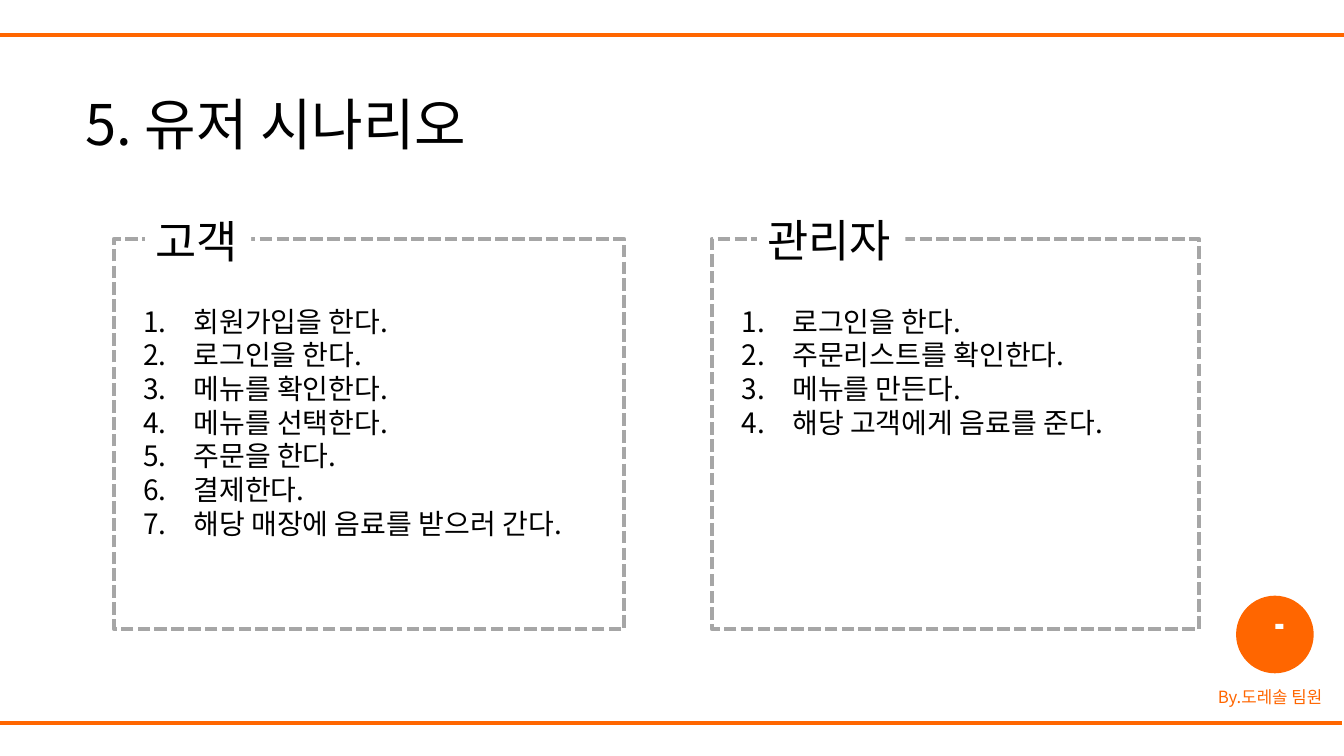
from dataclasses import dataclass

from lxml import etree
from pptx import Presentation
from pptx.dml.color import RGBColor
from pptx.enum.dml import MSO_LINE
from pptx.enum.shapes import MSO_CONNECTOR, MSO_SHAPE
from pptx.enum.text import MSO_ANCHOR, PP_ALIGN
from pptx.oxml.ns import qn
from pptx.util import Inches, Pt

RECT, OVAL = MSO_SHAPE.RECTANGLE, MSO_SHAPE.OVAL
STRAIGHT = MSO_CONNECTOR.STRAIGHT
DASH = MSO_LINE.SQUARE_DOT
LEFT = PP_ALIGN.LEFT
TOP = MSO_ANCHOR.TOP


@dataclass(frozen=True)
class Theme:
    font: str = "Noto Sans CJK KR"
    orange: RGBColor = RGBColor(0xFF, 0x66, 0x00)
    gray: RGBColor = RGBColor(0xA6, 0xA6, 0xA6)
    black: RGBColor = RGBColor(0, 0, 0)
    white: RGBColor = RGBColor(0xFF, 0xFF, 0xFF)
    title: int = 40
    heading: int = 32
    body: int = 20
    credit: int = 12
    stroke: int = 3


THEME = Theme()

# Heading, panel left and width, heading box (left, top, width), list left and height, steps
PANELS = [
    ("고객", 1.13, 5.06, (1.44, 2.07, 1.05), 1.32, 2.46,
     ["회원가입을 한다.", "로그인을 한다.", "메뉴를 확인한다.", "메뉴를 선택한다.",
      "주문을 한다.", "결제한다.", "해당 매장에 음료를 받으러 간다."]),
    ("관리자", 7.06, 4.83, (7.51, 2.06, 1.47), 7.26, 1.45,
     ["로그인을 한다.", "주문리스트를 확인한다.", "메뉴를 만든다.",
      "해당 고객에게 음료를 준다."]),
]


def box(x, y, w, h):
    return Inches(x), Inches(y), Inches(w), Inches(h)


def add_rule(s, x, y, length):
    line = s.shapes.add_connector(STRAIGHT, Inches(x), Inches(y), Inches(x + length), Inches(y))
    line.line.color.rgb = THEME.orange
    line.line.width = Pt(THEME.stroke)
    etree.SubElement(line._element.spPr, qn("a:effectLst"))


def add_block(shapes, kind, place, fill=None, stroke=None):
    sp = shapes.add_shape(kind, *box(*place))
    sp.shadow.inherit = False
    if fill is None:
        sp.fill.background()
    else:
        sp.fill.solid()
        sp.fill.fore_color.rgb = fill
    if stroke is None:
        sp.line.fill.background()
    else:
        sp.line.color.rgb = stroke
        sp.line.width = Pt(THEME.stroke)
        sp.line.dash_style = DASH
    return sp


def number_paragraph(p):
    pPr = p._p.get_or_add_pPr()
    pPr.set("marL", str(Inches(0.5)))
    pPr.set("indent", str(-Inches(0.5)))
    etree.SubElement(pPr, qn("a:buFont")).set("typeface", "+mj-lt")
    etree.SubElement(pPr, qn("a:buAutoNum")).set("type", "arabicPeriod")


def write(sp, lines, size, color=THEME.black, numbered=False, wrap=True):
    tf = sp.text_frame
    for name, value in {"word_wrap": wrap, "vertical_anchor": TOP}.items():
        setattr(tf, name, value)
    for i, text in enumerate(lines):
        p = tf.add_paragraph() if i else tf.paragraphs[0]
        p.alignment = LEFT
        if numbered:
            number_paragraph(p)
        r = p.add_run()
        r.text = text
        for name, value in {"name": THEME.font, "size": Pt(size)}.items():
            setattr(r.font, name, value)
        r.font.color.rgb = color
        etree.SubElement(r._r.get_or_add_rPr(), qn("a:ea")).set("typeface", THEME.font)


def add_text(s, place, lines, size, **style):
    write(s.shapes.add_textbox(*box(*place)), lines, size, **style)


def add_badge(s):
    group = s.shapes.add_group_shape()
    add_block(group.shapes, OVAL, (12.26, 5.91, 0.77, 0.77), fill=THEME.orange)
    add_block(group.shapes, RECT, (12.65, 6.19, 0.08, 0.05), fill=THEME.white)


def add_panel(s, heading, x, width, heading_place, list_x, list_height, steps):
    add_text(s, (list_x, 2.97, 4.71, list_height), steps, THEME.body, numbered=True)
    add_block(s.shapes, RECT, (x, 2.37, width, 3.87), stroke=THEME.gray)
    label = add_block(s.shapes, RECT, (*heading_place, 0.64), fill=THEME.white)
    write(label, [heading], THEME.heading, wrap=False)


def main():
    prs = Presentation()
    prs.slide_width, prs.slide_height = Inches(13.33), Inches(7.5)
    s = prs.slides.add_slide(prs.slide_layouts[6])

    # Title and page rules
    add_rule(s, 0, 0.35, 13.33)
    add_text(s, (0.75, 0.84, 6.14, 0.77), ["5. 유저 시나리오"], THEME.title)
    add_rule(s, -0.02, 7.17, 13.33)

    # Credit and badge
    add_text(s, (11.98, 6.76, 1.36, 0.3), ["By.도레솔 팀원"], THEME.credit, color=THEME.orange)
    add_badge(s)

    # Scenario panels
    for panel in PANELS:
        add_panel(s, *panel)

    prs.save("out.pptx")


if __name__ == "__main__":
    main()
